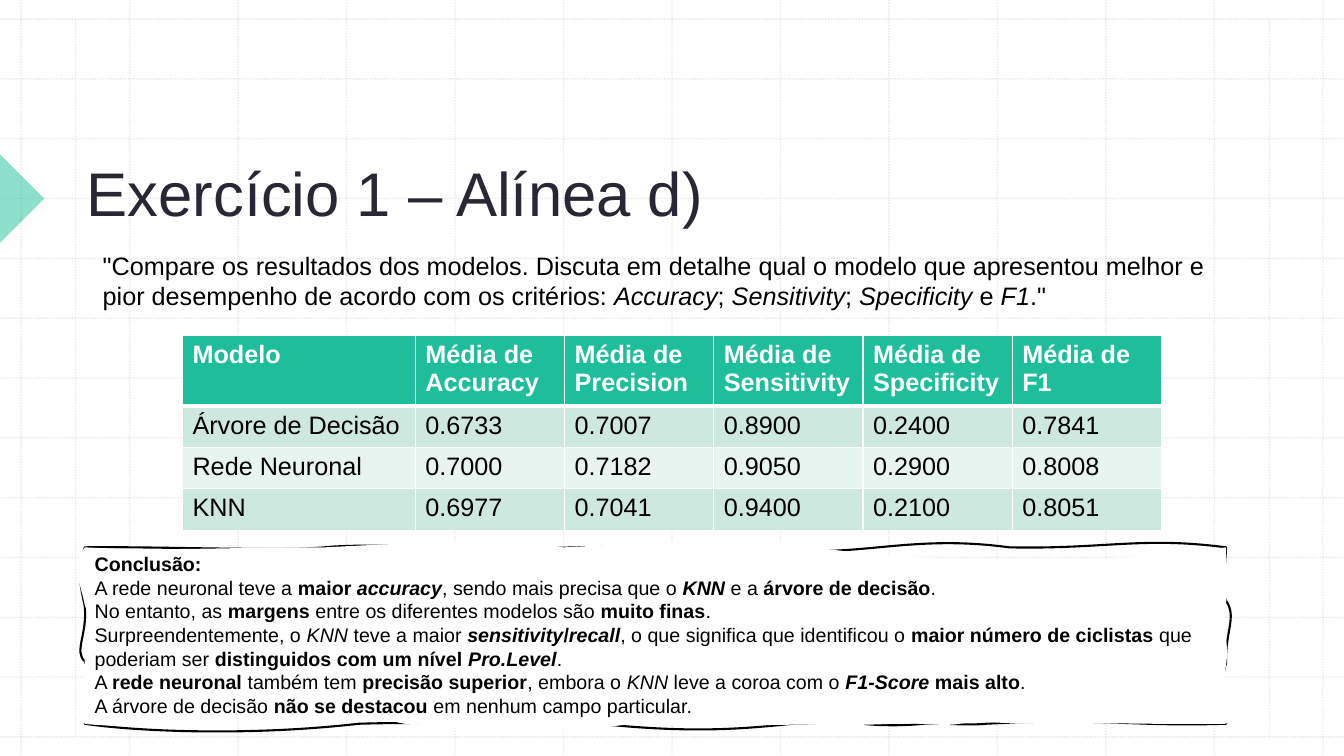
from pptx import Presentation
from pptx.dml.color import RGBColor as Rgb
from pptx.enum.dml import MSO_LINE as Dash
from pptx.enum.shapes import MSO_CONNECTOR as Link, MSO_SHAPE as Kind
from pptx.enum.text import MSO_ANCHOR as Anchor, MSO_AUTO_SIZE as Fit, PP_ALIGN as Align
from pptx.oxml.ns import qn
from pptx.oxml.xmlchemy import OxmlElement as Node
from pptx.util import Pt

PX = 9144
WIDE, HIGH = 1333, 750
FONT = "Arial"
HUE = {
    "white": "FFFFFF", "black": "000000", "grid": "BCBCBC", "title": "2A2735",
    "green": "1EBE9B", "band": "CDE8DE", "pale": "E8F4EF",
}
QUOTE = [[
    ('"Compare os resultados dos modelos. Discuta em detalhe qual o modelo que apresentou '
     "melhor e pior desempenho de acordo com os critérios: ", ""),
    ("Accuracy", "i"), ("; ", ""), ("Sensitivity", "i"), ("; ", ""),
    ("Specificity", "i"), (" e ", ""), ("F1", "i"), ('."', ""),
]]
ROWS = [
    ["Modelo"] + [f"Média de {name}" for name in
                  ("Accuracy", "Precision", "Sensitivity", "Specificity", "F1")],
    ["Árvore de Decisão", "0.6733", "0.7007", "0.8900", "0.2400", "0.7841"],
    ["Rede Neuronal", "0.7000", "0.7182", "0.9050", "0.2900", "0.8008"],
    ["KNN", "0.6977", "0.7041", "0.9400", "0.2100", "0.8051"],
]
NOTES = [
    [("Conclusão:", "b")],
    [("A rede neuronal teve a ", ""), ("maior ", "b"), ("accuracy", "bi"),
     (", sendo mais precisa que o ", ""), ("KNN", "bi"), (" e a ", ""),
     ("árvore de decisão", "b"), (".", ""), ("", "br"),
     ("No entanto, as ", ""), ("margens", "b"),
     (" entre os diferentes modelos são ", ""), ("muito finas", "b"), (".", "")],
    [("Surpreendentemente, o ", ""), ("KNN", "i"), (" teve a maior ", ""),
     ("sensitivity", "bi"), ("/", "b"), ("recall", "bi"),
     (", o que significa que identificou o ", ""), ("maior número de ciclistas", "b"),
     (" que poderiam ser ", ""), ("distinguidos com um nível ", "b"),
     ("Pro.Level", "bi"), (".", "")],
    [("A ", ""), ("rede neuronal", "b"), (" também tem ", ""),
     ("precisão superior", "b"), (", embora o ", ""), ("KNN", "i"),
     (" leve a coroa com o ", ""), ("F1-Score", "bi"), (" mais alto", "b"), (".", "")],
    [("A árvore de decisão ", ""), ("não se destacou", "b"),
     (" em nenhum campo particular.", "")],
]
EDGE = [
    (72, -1, 188, 4, 238, 0), (286, -5, 394, 3, 487, 0), (567, -1, 592, -1, 679, 0),
    (763, 13, 814, -14, 917, 0), (1012, 2, 1048, -11, 1132, 0),
    (1131, 26, 1127, 40, 1132, 53), (1143, 69, 1131, 83, 1132, 115),
    (1123, 143, 1136, 158, 1132, 175), (1037, 178, 1013, 169, 894, 175),
    (874, 177, 849, 174, 832, 175), (814, 177, 789, 177, 771, 175),
    (754, 173, 731, 174, 702, 175), (645, 181, 598, 184, 509, 175),
    (420, 179, 379, 172, 272, 175), (158, 188, 46, 182, 0, 175),
    (10, 150, 8, 127, 0, 113), (-11, 103, 3, 86, 0, 58), (-6, 31, -6, 24, 0, 0),
]
FACE = [
    (81, 4, 129, 0, 238, 0), (334, -5, 423, -9, 475, 0), (540, -3, 669, -13, 724, 0),
    (776, 8, 963, 24, 1132, 0), (1132, 26, 1135, 32, 1132, 55),
    (1126, 80, 1136, 90, 1132, 117), (1127, 138, 1148, 162, 1132, 175),
    (1051, 176, 988, 173, 928, 175), (903, 174, 886, 172, 868, 175),
    (849, 178, 836, 174, 805, 175), (775, 176, 756, 177, 736, 175),
    (687, 177, 592, 177, 543, 175), (475, 185, 411, 181, 317, 175),
    (235, 157, 65, 184, 0, 175), (-17, 151, 3, 144, 0, 113),
    (1, 88, 9, 80, 0, 57), (-5, 32, -14, 20, 0, 0),
]


def px(*nums):
    return [round(num * PX) for num in nums]


def rgb(name):
    return Rgb.from_string(HUE[name])


def sub(root, tag, **attrs):
    node = Node(tag)
    for key, value in attrs.items():
        node.set(key, str(value))
    root.append(node)
    return node


def fade(shape, part):
    for tone in shape.element.spPr.iter(qn("a:srgbClr")):
        sub(tone, "a:alpha", val=part * 1000)


def write(frame, paras, size, hue="black"):
    frame.word_wrap = True
    for i, runs in enumerate(paras):
        para = frame.paragraphs[0] if i == 0 else frame.add_paragraph()
        para.alignment = Align.LEFT
        for text, style in runs:
            if style == "br":
                para.add_line_break()
                continue
            run = para.add_run()
            run.text = text
            font = run.font
            font.name, font.size = FONT, Pt(size)
            font.bold, font.italic = "b" in style, "i" in style
            font.color.rgb = rgb(hue)


def rule(slide, x1, y1, x2, y2):
    line = slide.shapes.add_connector(Link.STRAIGHT, *px(x1, y1, x2, y2))
    line.line.color.rgb = rgb("grid")
    line.line.width = Pt(1)
    line.line.dash_style = Dash.ROUND_DOT
    fade(line, 30)
    sub(line.element.spPr, "a:effectLst")


def draw_grid(slide, wide, high):
    left, right, top, base, steps = 21, 1312, 19, 731, 12
    for i in range(steps + 1):
        x = left + (right - left) * i / steps
        y = top + (base - top) * i / steps
        rule(slide, x, 0, x, high)
        rule(slide, 0, y, wide, y)
    for x in (75, 1259):
        rule(slide, x, top, x, base)


def draw_mark(slide, x, y, side):
    mark = slide.shapes.add_shape(Kind.RIGHT_TRIANGLE, *px(x, y, side, side))
    mark.rotation = 225
    mark.shadow.inherit = False
    mark.fill.solid()
    mark.fill.fore_color.rgb = rgb("green")
    fade(mark, 50)
    mark.line.fill.background()


def draw_title(slide, x, y, w, h):
    title = slide.shapes.title
    title.left, title.top, title.width, title.height = px(x, y, w, h)
    title.element.getparent().append(title.element)
    frame = title.text_frame
    frame.auto_size = Fit.NONE
    frame.vertical_anchor = Anchor.BOTTOM
    write(frame, [[("Exercício 1 – Alínea d)", "")]], 44, "title")


def draw_quote(slide, x, y, w, h):
    box = slide.shapes.add_textbox(*px(x, y, w, h))
    write(box.text_frame, QUOTE, 18)


def draw_table(slide, x, y, w, h):
    first, low = 231, 41
    count, span = len(ROWS), len(ROWS[0])
    table = slide.shapes.add_table(count, span, *px(x, y, w, h)).table
    for i, col in enumerate(table.columns):
        col.width = px(first if i == 0 else (w - first) / (span - 1))[0]
    for i, row in enumerate(table.rows):
        row.height = px(h - low * (count - 1) if i == 0 else low)[0]
        for cell, text in zip(row.cells, ROWS[i]):
            head = i == 0
            write(cell.text_frame, [[(text, "b" if head else "")]], 18,
                  "white" if head else "black")
            props = cell._tc.get_or_add_tcPr()
            for side in "LRTB":
                thick = (head and side == "B") or (i == 1 and side == "T")
                edge = sub(props, f"a:ln{side}", w=Pt(3 if thick else 1))
                sub(sub(edge, "a:solidFill"), "a:srgbClr", val=HUE["white"])
            cell.fill.solid()
            cell.fill.fore_color.rgb = rgb("green" if head else "band" if i % 2 else "pale")


def draw_notes(slide, x, y, w, h):
    pen = slide.shapes.build_freeform(x, y, scale=PX)
    pen.add_line_segments([(x + w, y), (x + w, y + h), (x, y + h)], close=True)
    note = pen.convert_to_shape()
    tracks = note.element.spPr.find(".//" + qn("a:pathLst"))
    for old in list(tracks):
        tracks.remove(old)
    for curves, attrs in ((EDGE, {"fill": "none"}), (FACE, {"stroke": "0"})):
        track = sub(tracks, "a:path", w=w, h=h, **attrs)
        sub(sub(track, "a:moveTo"), "a:pt", x=0, y=0)
        for curve in curves:
            bend = sub(track, "a:cubicBezTo")
            for px_x, px_y in zip(curve[::2], curve[1::2]):
                sub(bend, "a:pt", x=px_x, y=px_y)
        sub(track, "a:close")
    note.shadow.inherit = False
    note.fill.solid()
    note.fill.fore_color.rgb = rgb("white")
    note.line.color.rgb = rgb("black")
    note.line.width = Pt(1.5)
    note.text_frame.vertical_anchor = Anchor.TOP
    write(note.text_frame, NOTES, 14)


def main():
    deck = Presentation()
    deck.slide_width, deck.slide_height = px(WIDE, HIGH)
    slide = deck.slides.add_slide(deck.slide_layouts[5])
    draw_grid(slide, WIDE, HIGH)
    draw_mark(slide, -31, 166, 62)
    draw_title(slide, 76, 79, 1148, 153)
    draw_quote(slide, 92, 243, 1148, 71)
    draw_table(slide, 181, 333, 971, 192)
    draw_notes(slide, 84, 543, 1132, 175)
    deck.save("out.pptx")


if __name__ == "__main__":
    main()
